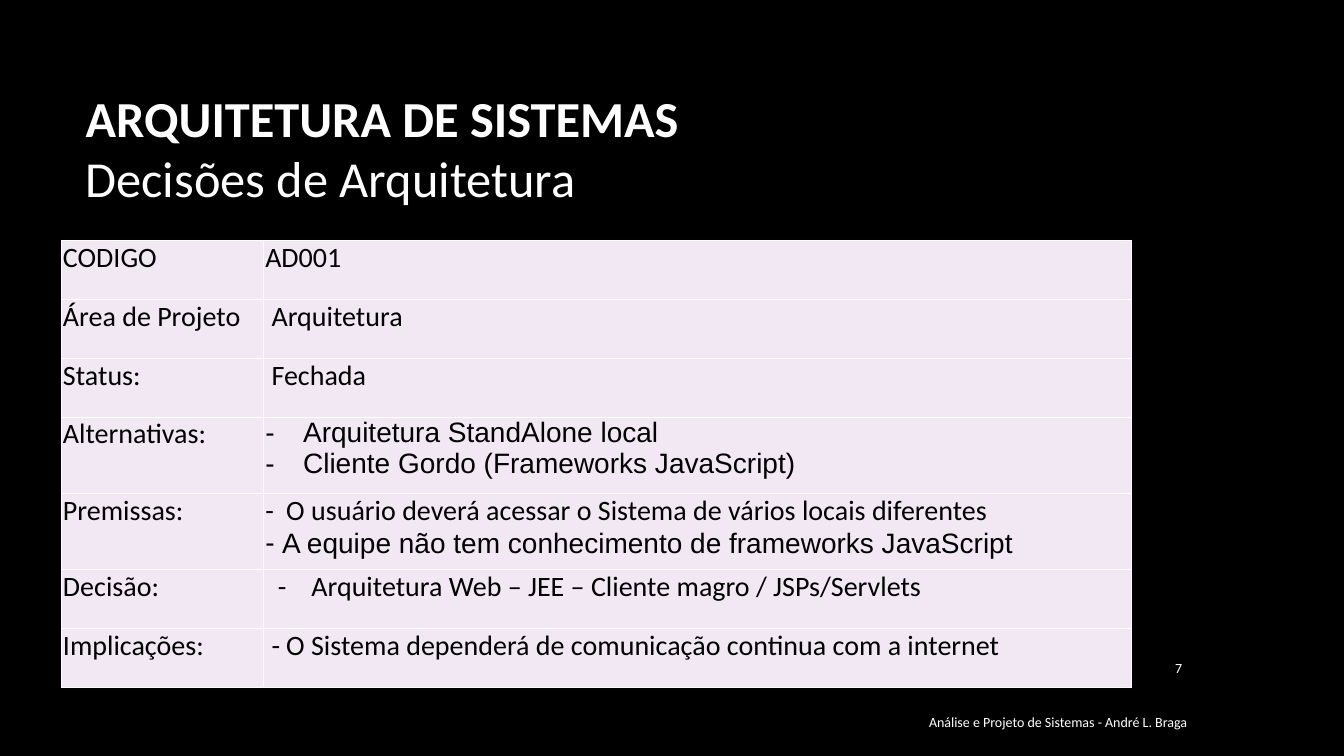
from lxml.etree import SubElement
from pptx import Presentation
from pptx.dml.color import RGBColor
from pptx.enum.text import MSO_ANCHOR, PP_ALIGN
from pptx.oxml.ns import qn
from pptx.util import Pt

WHITE, BLACK, LILAC = "FFFFFF", "000000", "F1E8F4"
COLS = [144.5, 619.5]
ROW_H, TALL_ROW_H = 42, 54.5
LINE = (1, 0, None)
ROWS = [
    ("CODIGO", [("AD001", "Calibri", LINE)]),
    ("Área de Projeto", [("Arquitetura", "Calibri", (5.5, 0, None))]),
    ("Status:", [("Fechada", "Calibri", (5.5, 0, None))]),
    ("Alternativas:", [
        ("Arquitetura StandAlone local", "Arial", (28, -27, "-")),
        ("Cliente Gordo (Frameworks JavaScript)", "Arial", (28, -27, "-"))]),
    ("Premissas:", [
        ("O usuário deverá acessar o Sistema de vários locais diferentes",
         "Calibri", (16, -15, "-")),
        ("A equipe não tem conhecimento de frameworks JavaScript",
         "Arial", (13, -12, "-"))]),
    ("Decisão:", [
        ("Arquitetura Web – JEE – Cliente magro / JSPs/Servlets",
         "Calibri", (34, -24, "-"))]),
    ("Implicações:", [
        ("O Sistema dependerá de comunicação continua com a internet",
         "Calibri", (16, -10.5, "-"))]),
]


def rgb(color):
    """Turn a hex string into a colour."""
    return RGBColor.from_string(color)


def add_run(p, text, size, color, font="Calibri", bold=False):
    """Append one formatted run to a paragraph."""
    r = p.add_run()
    r.text = text
    r.font.size = Pt(size)
    r.font.name = font
    r.font.bold = bold
    r.font.color.rgb = rgb(color)


def set_indent(p, left, first, bullet):
    """Set the indents of a paragraph and its bullet, if it has one."""
    pPr = p._p.get_or_add_pPr()
    pPr.set("marL", str(Pt(left)))
    pPr.set("indent", str(Pt(first)))
    if bullet:
        SubElement(pPr, qn("a:buFont")).set("typeface", p.runs[0].font.name)
        SubElement(pPr, qn("a:buChar")).set("char", bullet)


def set_borders(cell, color, width):
    """Draw the four borders of a cell."""
    tcPr = cell._tc.get_or_add_tcPr()
    for i, side in enumerate(("lnL", "lnR", "lnT", "lnB")):
        ln = SubElement(tcPr, qn(f"a:{side}"))
        ln.set("w", str(Pt(width)))
        fill = SubElement(ln, qn("a:solidFill"))
        SubElement(fill, qn("a:srgbClr")).set("val", color)
        tcPr.insert(i, ln)


def fill_cell(cell, lines):
    """Format a cell and write its lines."""
    cell.margin_left = cell.margin_right = 0
    cell.margin_top = cell.margin_bottom = 0
    cell.fill.solid()
    cell.fill.fore_color.rgb = rgb(LILAC)
    set_borders(cell, WHITE, 1)
    tf = cell.text_frame
    for i, (text, font, indent) in enumerate(lines):
        p = tf.add_paragraph() if i else tf.paragraphs[0]
        add_run(p, text, 20, BLACK, font)
        set_indent(p, *indent)


def add_title(s, x, y, w, h):
    """Place the two-line title in its placeholder."""
    sp = s.shapes.title
    sp.left, sp.top, sp.width, sp.height = Pt(x), Pt(y), Pt(w), Pt(h)
    tf = sp.text_frame
    tf.vertical_anchor = MSO_ANCHOR.MIDDLE
    p = tf.paragraphs[0]
    p.alignment = PP_ALIGN.LEFT
    add_run(p, "ARQUITETURA DE SISTEMAS", 36, WHITE, bold=True)
    p.add_line_break()
    add_run(p, "Decisões de Arquitetura", 36, WHITE)


def add_decision_table(s, x, y):
    """Place the architecture decision table."""
    heights = [TALL_ROW_H if len(lines) > 1 else ROW_H for _, lines in ROWS]
    table = s.shapes.add_table(len(ROWS), len(COLS), Pt(x), Pt(y),
                               Pt(sum(COLS)), Pt(sum(heights))).table
    table.first_row = table.horz_banding = False
    for col, width in zip(table.columns, COLS):
        col.width = Pt(width)
    for row, height, (label, lines) in zip(table.rows, heights, ROWS):
        row.height = Pt(height)
        fill_cell(row.cells[0], [(label, "Calibri", LINE)])
        fill_cell(row.cells[1], lines)


def add_note(s, x, y, w, h, text, align):
    """Place a small line of text, centred vertically in its box."""
    tf = s.shapes.add_textbox(Pt(x), Pt(y), Pt(w), Pt(h)).text_frame
    tf.word_wrap = True
    tf.vertical_anchor = MSO_ANCHOR.MIDDLE
    p = tf.paragraphs[0]
    p.alignment = align
    add_run(p, text, 10, WHITE)


def add_decision_slide(prs):
    """Build the architecture decision slide."""
    s = prs.slides.add_slide(prs.slide_layouts[5])
    s.background.fill.solid()
    s.background.fill.fore_color.rgb = rgb(BLACK)
    add_title(s, 54, 48, 798, 114.5)
    add_note(s, 656.5, 501, 300, 29.5,
             "Análise e Projeto de Sistemas - André L. Braga", PP_ALIGN.LEFT)
    add_note(s, 808.5, 462.5, 43, 29.5, "7", PP_ALIGN.RIGHT)
    add_decision_table(s, 44, 172)


def main():
    """Create and save the presentation."""
    prs = Presentation()
    prs.slide_width, prs.slide_height = Pt(960), Pt(540)
    add_decision_slide(prs)
    prs.save("out.pptx")


if __name__ == "__main__":
    main()
